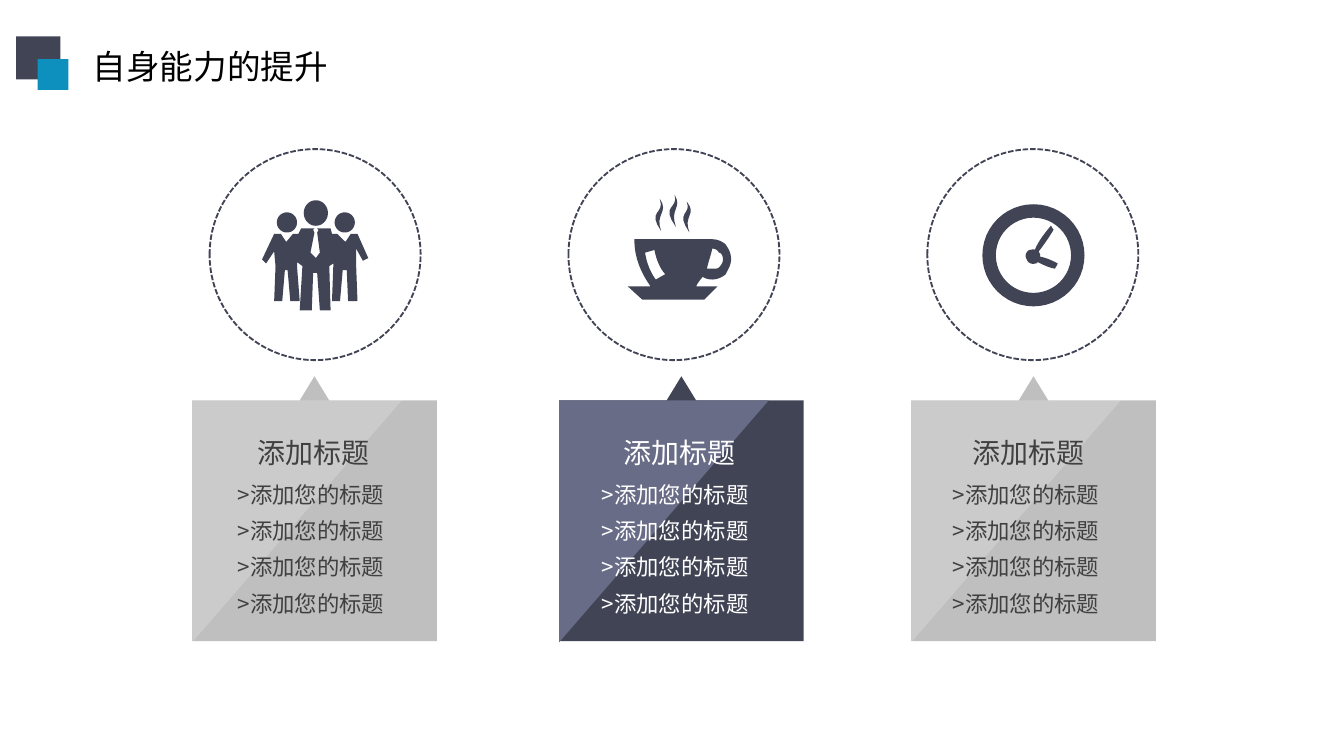
from math import cos, pi, sin

from lxml import etree
from pptx import Presentation
from pptx.dml.color import RGBColor
from pptx.enum.dml import MSO_LINE
from pptx.enum.shapes import MSO_SHAPE
from pptx.enum.text import MSO_ANCHOR, MSO_AUTO_SIZE, PP_ALIGN
from pptx.oxml.ns import qn
from pptx.util import Pt

PX = 9144
FONT = "Noto Sans CJK SC"
NAVY = RGBColor(0x41, 0x44, 0x55)
SLATE = RGBColor(0x68, 0x6C, 0x86)
BLUE = RGBColor(0x0E, 0x90, 0xBE)
GREY = RGBColor(0xBF, 0xBF, 0xBF)
DARK = RGBColor(0x40, 0x40, 0x40)
WHITE = RGBColor(0xFF, 0xFF, 0xFF)
BLACK = RGBColor(0, 0, 0)
OVAL, RECT = MSO_SHAPE.OVAL, MSO_SHAPE.RECTANGLE
DASH = MSO_LINE.SQUARE_DOT
LEFT, TOP = PP_ALIGN.LEFT, MSO_ANCHOR.TOP
FIT = MSO_AUTO_SIZE.SHAPE_TO_FIT_TEXT

HEAD = "自身能力的提升"
NAME = "添加标题"
ITEM = ">添加您的标题"
ROWS = 4
CARDS = [
    (143, 182, 167, GREY, WHITE, 20, DARK),
    (416, 454, 438, NAVY, SLATE, 100, WHITE),
    (678, 714, 699, GREY, WHITE, 20, DARK),
]

BODY = [
    (221, 195), (221, 198), (223, 224), (216, 224), (214, 201), (212, 201),
    (210, 224), (204, 224), (205, 198), (204, 187), (198, 196), (195, 193),
    (204, 174), (209, 174), (213, 180), (218, 174), (222, 174), (224, 170),
    (234, 170), (233, 171), (234, 173), (231, 188), (235, 192), (238, 188),
    (236, 173), (237, 171), (236, 170), (246, 170), (247, 174), (251, 174),
    (257, 180), (261, 174), (266, 174), (274, 192), (270, 194), (265, 185),
    (265, 198), (266, 224), (259, 224), (258, 201), (255, 201), (253, 224),
    (247, 224), (248, 198), (248, 196), (245, 198), (246, 231), (238, 231),
    (236, 203), (233, 203), (232, 231), (223, 231), (225, 198),
]
CUP = [
    (472, 178), (530, 178), (534, 178, 538, 180, 540, 182),
    (542, 185, 544, 188, 544, 193), (544, 197, 542, 200, 540, 204),
    (538, 206, 534, 208, 530, 208), (527, 208, 524, 207, 523, 206),
    (521, 208, 519, 211, 518, 213), (534, 213), (524, 223), (478, 223),
    (467, 213), (484, 213), (477, 203, 472, 192, 472, 178),
]
STEAM = [
    [(513, 173), (502, 157, 515, 160, 511, 150), (519, 160, 508, 160, 513, 173)],
    [(503, 169), (498, 155, 508, 155, 502, 145), (505, 156, 491, 152, 503, 169)],
    [(492, 172), (481, 156, 495, 160, 491, 148), (498, 158, 487, 159, 492, 172)],
]
SHINE = [(480, 188), (481, 195, 484, 203, 488, 208), (495, 204),
         (491, 200, 488, 192, 487, 186)]
GRIP = [
    (530, 185), (529, 190, 527, 195, 526, 200), (527, 200, 528, 200, 530, 200),
    (532, 200, 534, 200, 535, 199), (537, 197, 538, 195, 538, 193),
    (538, 191, 537, 188, 535, 188), (534, 186, 532, 185, 530, 185),
]
HANDS = [
    (774, 189), (773, 188, 773, 187, 773, 187), (777, 182, 781, 176, 784, 171),
    (783, 170, 783, 169, 782, 168), (777, 174, 773, 179, 770, 186),
    (769, 185, 768, 186, 766, 186), (764, 187, 762, 190, 764, 193),
    (765, 196, 768, 197, 771, 196), (771, 196, 772, 196, 772, 195),
    (776, 197, 780, 199, 785, 200), (786, 198, 787, 197, 787, 196),
    (783, 194, 779, 192, 774, 191), (774, 190, 774, 189, 774, 189),
]


def put(obj, **vals):
    """Set each named attribute of an object."""
    for key, val in vals.items():
        setattr(obj, key, val)


def scale(*nums):
    """Turn px into EMU."""
    return [round(num * PX) for num in nums]


def ring(left, top, wide, high):
    """Return the points of an ellipse in a box."""
    turns = [2 * pi * i / 48 for i in range(48)]
    return [(left + wide * (1 + cos(a)) / 2, top + high * (1 + sin(a)) / 2)
            for a in turns]


def flat(steps, cuts=8):
    """Turn points and cubic curves into a list of points."""
    dots = []
    for step in steps:
        if len(step) == 2:
            dots.append(step)
            continue
        ends = [dots[-1], step[:2], step[2:4], step[4:]]
        for i in range(1, cuts + 1):
            t = i / cuts
            parts = ((1 - t) ** 3, 3 * t * (1 - t) ** 2, 3 * t * t * (1 - t), t ** 3)
            dots.append(tuple(sum(p * end[axis] for p, end in zip(parts, ends))
                              for axis in (0, 1)))
    return dots


def paint(shape, color, alpha=100):
    """Give a shape a plain fill, with no line or shadow."""
    shape.shadow.inherit = False
    shape.line.fill.background()
    shape.fill.solid()
    shape.fill.fore_color.rgb = color
    if alpha < 100:
        node = shape.fill._xPr.find(".//" + qn("a:srgbClr"))
        etree.SubElement(node, qn("a:alpha"), val=str(alpha * 1000))


def draw(slide, color, *loops, alpha=100):
    """Add one outline made of closed loops."""
    first, *rest = [[scale(*dot) for dot in flat(loop)] for loop in loops]
    pen = slide.shapes.build_freeform(*first[0], scale=1.0)
    pen.add_line_segments(first[1:], close=True)
    for loop in rest:
        pen.move_to(*loop[0])
        pen.add_line_segments(loop[1:], close=True)
    paint(pen.convert_to_shape(), color, alpha)


def block(slide, box, color):
    """Add a filled rectangle."""
    paint(slide.shapes.add_shape(RECT, *scale(*box)), color)


def hoop(slide, box):
    """Add a dashed circle."""
    shape = slide.shapes.add_shape(OVAL, *scale(*box))
    shape.shadow.inherit = False
    shape.fill.background()
    shape.line.color.rgb = NAVY
    put(shape.line, width=Pt(1), dash_style=DASH)


def write(shape, text, size, color):
    """Fill a text shape with one line of text."""
    frame = shape.text_frame
    put(frame, text=text, word_wrap=False, auto_size=FIT, vertical_anchor=TOP)
    line = frame.paragraphs[0]
    line.alignment = LEFT
    run = line.runs[0]
    put(run.font, name=FONT, size=Pt(size))
    run.font.color.rgb = color
    etree.SubElement(run.font._element, qn("a:ea"), typeface=FONT)


def label(slide, box, text, size, color):
    """Add a text box with one line."""
    write(slide.shapes.add_textbox(*scale(*box)), text, size, color)


def card(slide, left, name, item, back, sheen, alpha, ink):
    """Add a pointed card with its heading and items."""
    mid, right, top, base = left + 91, left + 182, 298, 477
    draw(slide, back, [(mid, 280), (mid + 11, top), (right, top), (right, base),
                       (left, base), (left, top), (mid - 11, top)])
    draw(slide, sheen, [(left, 478), (left + 156, top), (left, top)], alpha=alpha)
    label(slide, (name, 319, 104, 35), NAME, 15, ink)
    for row in range(ROWS):
        label(slide, (item, 353 + 27 * row, 134, 30), ITEM, 12, ink)


def main():
    """Build the slide and save it."""
    deck = Presentation()
    wide = 1000 * PX
    put(deck, slide_width=wide, slide_height=wide * 9 // 16)
    slide = deck.slides.add_slide(deck.slide_layouts[5])
    title = slide.shapes.title
    put(title, **dict(zip(("left", "top", "width", "height"),
                          scale(59, 29, 197, 40))))
    write(title, HEAD, 18, BLACK)
    block(slide, (12, 27, 33, 32), NAVY)
    block(slide, (28, 44, 23, 23), BLUE)
    heads = [ring(226, 149, 18, 19), ring(249, 158, 15, 15), ring(206, 158, 15, 15)]
    clock = [ring(731, 152, 76, 76), ring(741, 162, 56, 56), HANDS]
    for icon in ([BODY, *heads], [CUP, *STEAM, SHINE, GRIP], clock):
        draw(slide, NAVY, *icon)
    for col in range(3):
        hoop(slide, (156 + 267 * col, 111, 157, 157))
    for data in CARDS:
        card(slide, *data)
    deck.save("out.pptx")


if __name__ == "__main__":
    main()
